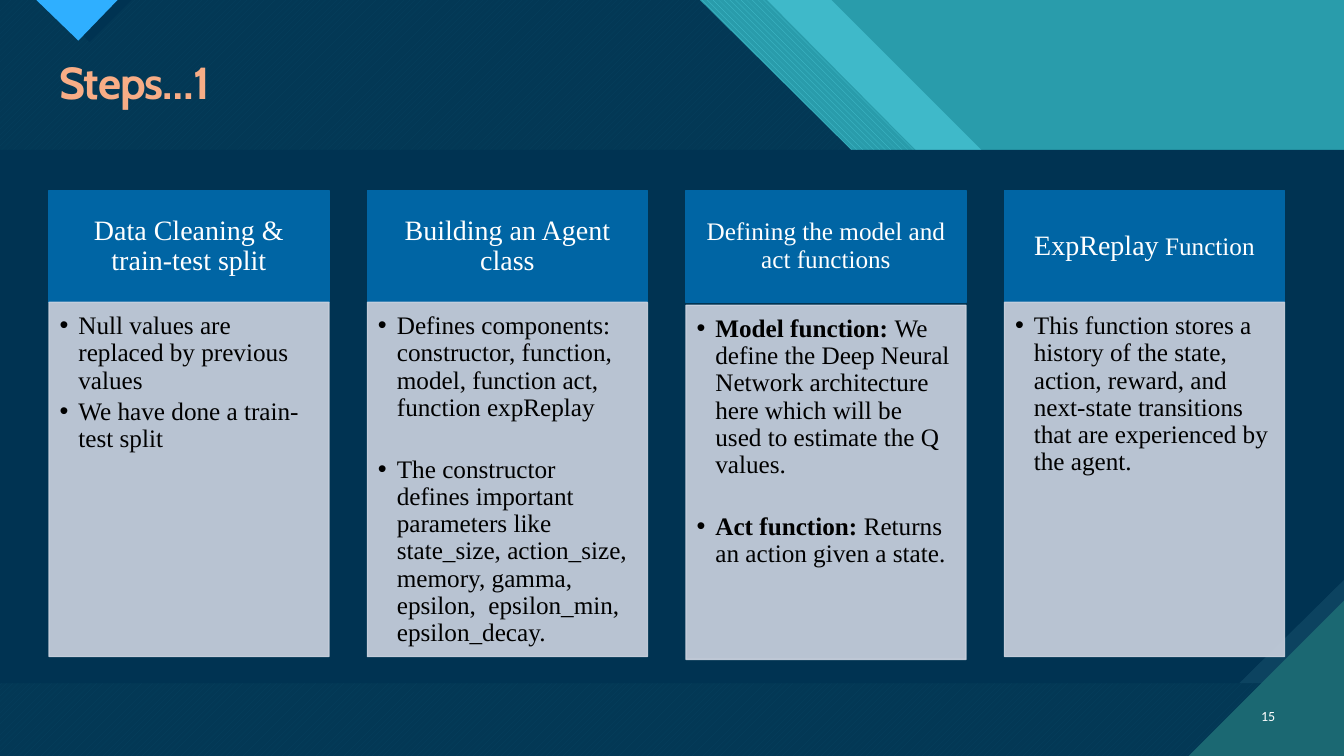
from lxml import etree
from pptx import Presentation
from pptx.dml.color import RGBColor
from pptx.enum.dml import MSO_PATTERN
from pptx.enum.shapes import MSO_SHAPE
from pptx.enum.text import MSO_ANCHOR, MSO_AUTO_SIZE, PP_ALIGN
from pptx.oxml.ns import qn
from pptx.util import Pt

RECTANGLE = MSO_SHAPE.RECTANGLE
TOP, MIDDLE = MSO_ANCHOR.TOP, MSO_ANCHOR.MIDDLE
LEFT, CENTER, RIGHT = PP_ALIGN.LEFT, PP_ALIGN.CENTER, PP_ALIGN.RIGHT
NO_AUTOFIT = MSO_AUTO_SIZE.NONE
UP_STRIPES = MSO_PATTERN.WIDE_UPWARD_DIAGONAL
DOWN_STRIPES = MSO_PATTERN.WIDE_DOWNWARD_DIAGONAL

NAVY = RGBColor(0x00, 0x33, 0x52)
NAVY_BASE = RGBColor(0x03, 0x38, 0x55)
NAVY_STRIPE = RGBColor(0x07, 0x41, 0x5F)
NAVY_LIGHT = RGBColor(0x0C, 0x43, 0x60)
TEAL = RGBColor(0x29, 0x9C, 0xAB)
TEAL_LIGHT = RGBColor(0x3F, 0xB9, 0xC9)
TEAL_BRIGHT = RGBColor(0x47, 0xC3, 0xD3)
TEAL_DARK = RGBColor(0x1B, 0x68, 0x72)
SKY = RGBColor(0x2F, 0xAF, 0xFF)
BLUE = RGBColor(0x00, 0x65, 0xA4)
GREY = RGBColor(0xCC, 0xD3, 0xE0)
PEACH = RGBColor(0xF8, 0xAD, 0x86)
WHITE = RGBColor(0xFF, 0xFF, 0xFF)
BLACK = RGBColor(0x00, 0x00, 0x00)

WIDTH, HEIGHT = 960, 540
PANEL_TOP, PANEL_BOTTOM, SNIP = 107, 488.5, 75
CORNER = 111
CARD_LEFT, CARD_TOP, CARD_WIDTH, CARD_PITCH = 35, 136, 200, 227.5
HEADER_HEIGHT, LIST_HEIGHT = 80, 253
BLANK_LINE = 22

HEADER_FONT = {"name": "Times New Roman", "size": Pt(20), "bold": False}
LIST_FONT = {"name": "Times New Roman", "size": Pt(18), "bold": False}
SMALL, BOLD = {"size": Pt(18)}, {"bold": True}

CARDS = [
    ([("Data Cleaning & train-test split", {})], 0, 0,
     [[("Null values are replaced by previous values", {})],
      [("We have done a train-test split", {})]]),
    ([("Building an Agent class", {})], 0, BLANK_LINE,
     [[("Defines components: constructor, function, model, function act, "
        "function expReplay", {})],
      [("The constructor defines important parameters like state_size, "
        "action_size, memory, gamma, epsilon,  epsilon_min, epsilon_decay.", {})]]),
    ([("Defining the model and act functions", SMALL)], 2, BLANK_LINE,
     [[("Model function: ", BOLD),
       ("We define the Deep Neural Network architecture here which will be "
        "used to estimate the Q values.", {})],
      [("Act function: ", BOLD), ("Returns an action given a state.", {})]]),
    ([("ExpReplay", {}), (" Function", SMALL)], 0, 0,
     [[("This function stores a history of the state, action, reward, and "
        "next-state transitions that are experienced by the agent.", {})]]),
]


def apply_format(target, values):
    for name, value in values.items():
        setattr(target, name, value)


class SlideBuilder:
    def __init__(self, slide):
        self.slide = slide

    def polygon(self, points, color, pattern=None, back_color=None):
        builder = self.slide.shapes.build_freeform(*points[0], scale=Pt(1))
        builder.add_line_segments(points[1:], close=True)
        shape = builder.convert_to_shape()
        shape.shadow.inherit = False
        shape.line.fill.background()
        if pattern is None:
            shape.fill.solid()
            shape.fill.fore_color.rgb = color
        else:
            shape.fill.patterned()
            shape.fill.pattern = pattern
            shape.fill.fore_color.rgb = color
            shape.fill.back_color.rgb = back_color

    def paint(self, shape, color, opacity=100):
        shape.fill.solid()
        shape.fill.fore_color.rgb = color
        shape.line.color.rgb = color
        shape.line.width = Pt(1)
        if opacity < 100:
            for element in list(shape.element.spPr.iter(qn("a:srgbClr"))):
                alpha = etree.SubElement(element, qn("a:alpha"))
                alpha.set("val", str(opacity * 1000))

    def frame(self, shape, margins, anchor):
        left, top, right, bottom = (Pt(margin) for margin in margins)
        apply_format(shape.text_frame, {
            "word_wrap": True, "auto_size": NO_AUTOFIT, "vertical_anchor": anchor,
            "margin_left": left, "margin_top": top,
            "margin_right": right, "margin_bottom": bottom})
        return shape.text_frame

    def add_runs(self, paragraph, runs, font, color, alignment, before=0, after=0):
        apply_format(paragraph, {
            "alignment": alignment, "line_spacing": 0.9,
            "space_before": Pt(before), "space_after": Pt(after)})
        for text, changes in runs:
            run = paragraph.add_run()
            run.text = text
            apply_format(run.font, {**font, **changes})
            run.font.color.rgb = color

    def place(self, placeholder, left, top, width, height):
        apply_format(placeholder, {"left": Pt(left), "top": Pt(top),
                                   "width": Pt(width), "height": Pt(height)})
        placeholder.element.getparent().append(placeholder.element)

    def title(self, text):
        shape = self.slide.shapes.title
        self.place(shape, 35, 39.5, 883, 42.5)
        frame = self.frame(shape, (7.2, 3.6, 7.2, 3.6), TOP)
        font = {"name": "Cabin", "size": Pt(32), "bold": True}
        self.add_runs(frame.paragraphs[0], [(text, {})], font, PEACH, LEFT)
        frame.paragraphs[0].runs[0].font._element.set("spc", "-70")

    def header(self, left, runs):
        shape = self.slide.shapes.add_shape(
            RECTANGLE, Pt(left), Pt(CARD_TOP), Pt(CARD_WIDTH), Pt(HEADER_HEIGHT))
        shape.shadow.inherit = False
        self.paint(shape, BLUE)
        frame = self.frame(shape, (11.2, 6.4, 11.2, 6.4), MIDDLE)
        self.add_runs(frame.paragraphs[0], runs, HEADER_FONT, WHITE, CENTER)

    def bullet_list(self, placeholder, left, top, items, gap):
        self.place(placeholder, left, top, CARD_WIDTH, LIST_HEIGHT)
        self.paint(placeholder, GREY, 90)
        frame = self.frame(placeholder, (7.5, 7.5, 10, 11.2), TOP)
        for index, runs in enumerate(items):
            paragraph = frame.add_paragraph() if index else frame.paragraphs[0]
            properties = paragraph._p.get_or_add_pPr()
            properties.set("marL", str(Pt(13.5)))
            properties.set("indent", str(Pt(-13.5)))
            etree.SubElement(properties, qn("a:buFont")).set("typeface", "Arial")
            etree.SubElement(properties, qn("a:buChar")).set("char", "•")
            self.add_runs(paragraph, runs, LIST_FONT, BLACK, LEFT,
                          gap if index else 0, 2.7)

    def page_number(self, text):
        shape = self.slide.shapes.add_textbox(Pt(886), Pt(497.5), Pt(32), Pt(29))
        frame = self.frame(shape, (7.2, 3.6, 7.2, 3.6), MIDDLE)
        font = {"name": "Calibri", "size": Pt(10)}
        self.add_runs(frame.paragraphs[0], [(text, {})], font, WHITE, RIGHT)

    def backdrop(self):
        self.polygon([(0, 0), (WIDTH, 0), (WIDTH, HEIGHT), (0, HEIGHT)],
                     NAVY_STRIPE, UP_STRIPES, NAVY_BASE)
        for left, *fill in ((500.5, TEAL_BRIGHT, DOWN_STRIPES, TEAL),
                            (547.5, TEAL_LIGHT), (594, TEAL)):
            self.polygon([(left, 0), (WIDTH, 0), (WIDTH, PANEL_TOP),
                          (left + PANEL_TOP, PANEL_TOP)], *fill)
        for left, depth, color in ((35, 29.5, NAVY), (26.5, 29, SKY)):
            self.polygon([(left, 0), (left + depth, depth), (left + 2 * depth, 0)],
                         color)
        snip_left, snip_top = WIDTH - SNIP, PANEL_BOTTOM - SNIP
        self.polygon([(snip_left, PANEL_BOTTOM), (WIDTH, snip_top),
                      (WIDTH, PANEL_BOTTOM)], NAVY_LIGHT)
        self.polygon([(0, PANEL_TOP), (WIDTH, PANEL_TOP), (WIDTH, snip_top),
                      (snip_left, PANEL_BOTTOM), (0, PANEL_BOTTOM)], NAVY)
        self.polygon([(WIDTH - CORNER, HEIGHT), (WIDTH, HEIGHT - CORNER),
                      (WIDTH, HEIGHT)], TEAL_DARK)


def main():
    presentation = Presentation()
    presentation.slide_width, presentation.slide_height = Pt(WIDTH), Pt(HEIGHT)
    slide = presentation.slides.add_slide(presentation.slide_layouts[4])
    builder = SlideBuilder(slide)
    bodies = list(slide.placeholders)[1:]
    builder.backdrop()
    builder.title("Steps…1")
    for index, (heading, shift, gap, items) in enumerate(CARDS):
        left = CARD_LEFT + index * CARD_PITCH
        builder.header(left, heading)
        builder.bullet_list(bodies[index], left, CARD_TOP + HEADER_HEIGHT + shift,
                            items, gap)
    builder.page_number("15")
    presentation.save("out.pptx")


if __name__ == "__main__":
    main()
